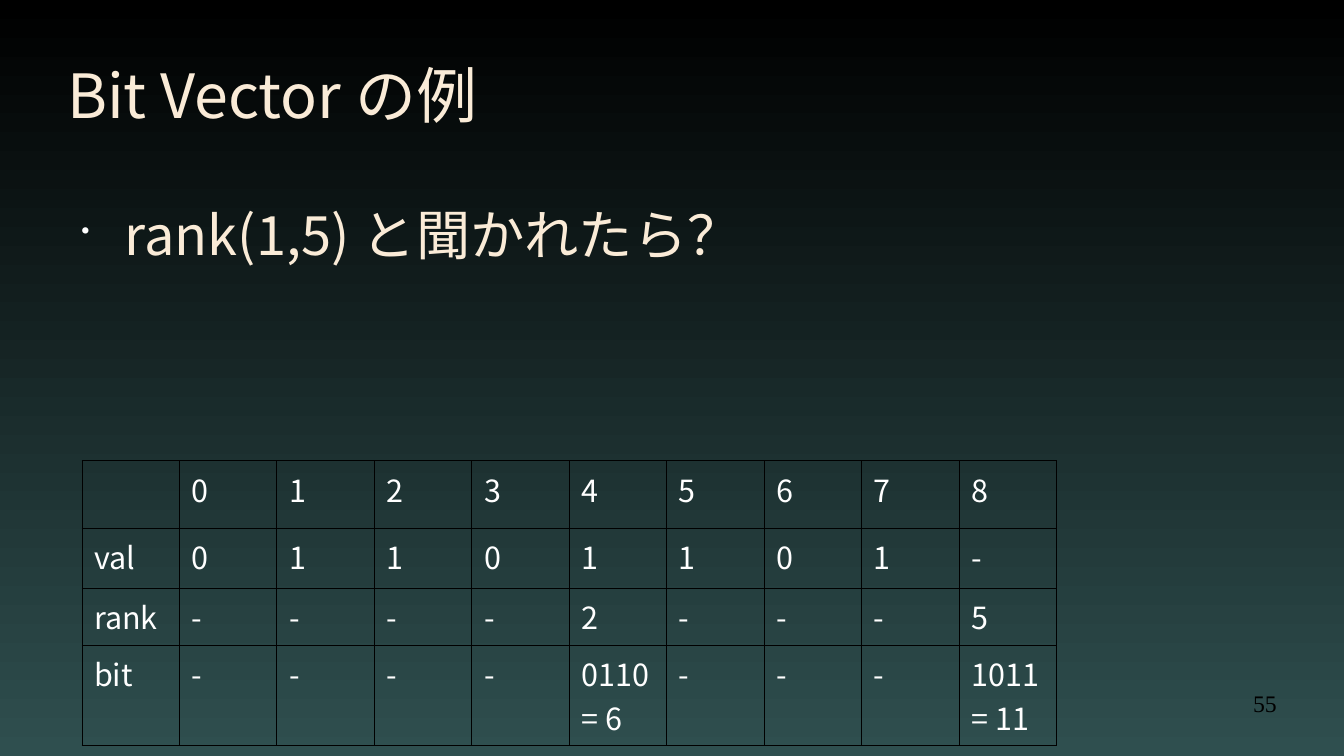
from lxml.etree import SubElement as Sub
from pptx import Presentation
from pptx.dml.color import RGBColor as Rgb
from pptx.enum.text import MSO_ANCHOR as Anchor, PP_ALIGN as Align
from pptx.oxml.ns import qn
from pptx.util import Pt

SANS = "Noto Sans CJK JP"
SERIF = "Times New Roman"
CREAM = "FAEBD7"
WHITE = "FFFFFF"
BLACK = "000000"
TEAL = "2F4F4F"
ROWS = [
    ["", *"012345678"],
    ["val", *"01101101-"],
    ["rank", *"----2---5"],
    ["bit", *"----", "0110\n= 6", *"---", "1011\n= 11"],
]
HIGHS = [40, 35.5, 33.5, 59]
COL = 57.55


def paint(color, code):
    """Set a colour from a hex string."""
    color.rgb = Rgb.from_string(code)


def write(para, text, size, font, code):
    """Add text as runs, with a break between lines."""
    for i, line in enumerate(text.split("\n")):
        if i:
            para.add_line_break()
        run = para.add_run()
        run.text = line
        run.font.size = Pt(size)
        run.font.name = font
        paint(run.font.color, code)
        Sub(run.font._element, qn("a:ea"), typeface=font)


def add_text(slide, box, text, size, font, code, anchor=Anchor.TOP):
    """Add a text box without insets and return its paragraph."""
    frame = slide.shapes.add_textbox(*map(Pt, box)).text_frame
    frame.word_wrap = True
    frame.vertical_anchor = anchor
    frame.margin_left = frame.margin_right = 0
    frame.margin_top = frame.margin_bottom = 0
    para = frame.paragraphs[0]
    write(para, text, size, font, code)
    return para


def add_dot(para):
    """Give a paragraph a small white bullet and a hanging indent."""
    prop = para._p.get_or_add_pPr()
    prop.set("marL", str(Pt(34)))
    prop.set("indent", str(Pt(-25.5)))
    tint = Sub(prop, qn("a:buClr"))
    Sub(tint, qn("a:srgbClr"), val=WHITE)
    Sub(prop, qn("a:buSzPct"), val="45000")
    Sub(prop, qn("a:buChar"), char="•")


def add_edges(cell):
    """Draw thin black borders around a cell."""
    prop = cell._tc.get_or_add_tcPr()
    for side in "LRTB":
        line = Sub(prop, qn(f"a:ln{side}"), w=str(Pt(0.57)))
        fill = Sub(line, qn("a:solidFill"))
        Sub(fill, qn("a:srgbClr"), val=BLACK)


def add_grid(slide, left, top):
    """Add the bit vector table."""
    cols = len(ROWS[0])
    table = slide.shapes.add_table(
        len(ROWS), cols, Pt(left), Pt(top), Pt(COL * cols), Pt(sum(HIGHS))
    ).table
    table.first_row = table.horz_banding = False
    for col in table.columns:
        col.width = Pt(COL)
    for r, (row, high) in enumerate(zip(ROWS, HIGHS)):
        table.rows[r].height = Pt(high)
        for c, text in enumerate(row):
            cell = table.cell(r, c)
            add_edges(cell)
            cell.fill.background()
            if text:
                write(cell.text_frame.paragraphs[0], text, 18, SANS, WHITE)


def add_back(slide):
    """Fill the background from black down to teal."""
    fill = slide.background.fill
    fill.gradient()
    fill.gradient_angle = 270
    for stop, code, pos in zip(fill.gradient_stops, (BLACK, TEAL), (0, 1)):
        paint(stop.color, code)
        stop.position = pos


def main():
    """Build and save the slide."""
    deck = Presentation()
    deck.slide_width, deck.slide_height = Pt(793.44), Pt(446.4)
    slide = deck.slides.add_slide(deck.slide_layouts[6])
    add_back(slide)
    add_text(slide, (39.6, 18, 425.5, 75), "Bit Vector の例", 36, SANS, CREAM,
             Anchor.MIDDLE)
    body = add_text(slide, (39.6, 118.6, 714, 312), "rank(1,5) と聞かれたら？",
                    32, SANS, CREAM)
    add_dot(body)
    add_grid(slide, 48.4, 272)
    page = add_text(slide, (568.8, 406.8, 185, 31), "55", 14, SERIF, BLACK)
    page.alignment = Align.RIGHT
    deck.save("out.pptx")


if __name__ == "__main__":
    main()
